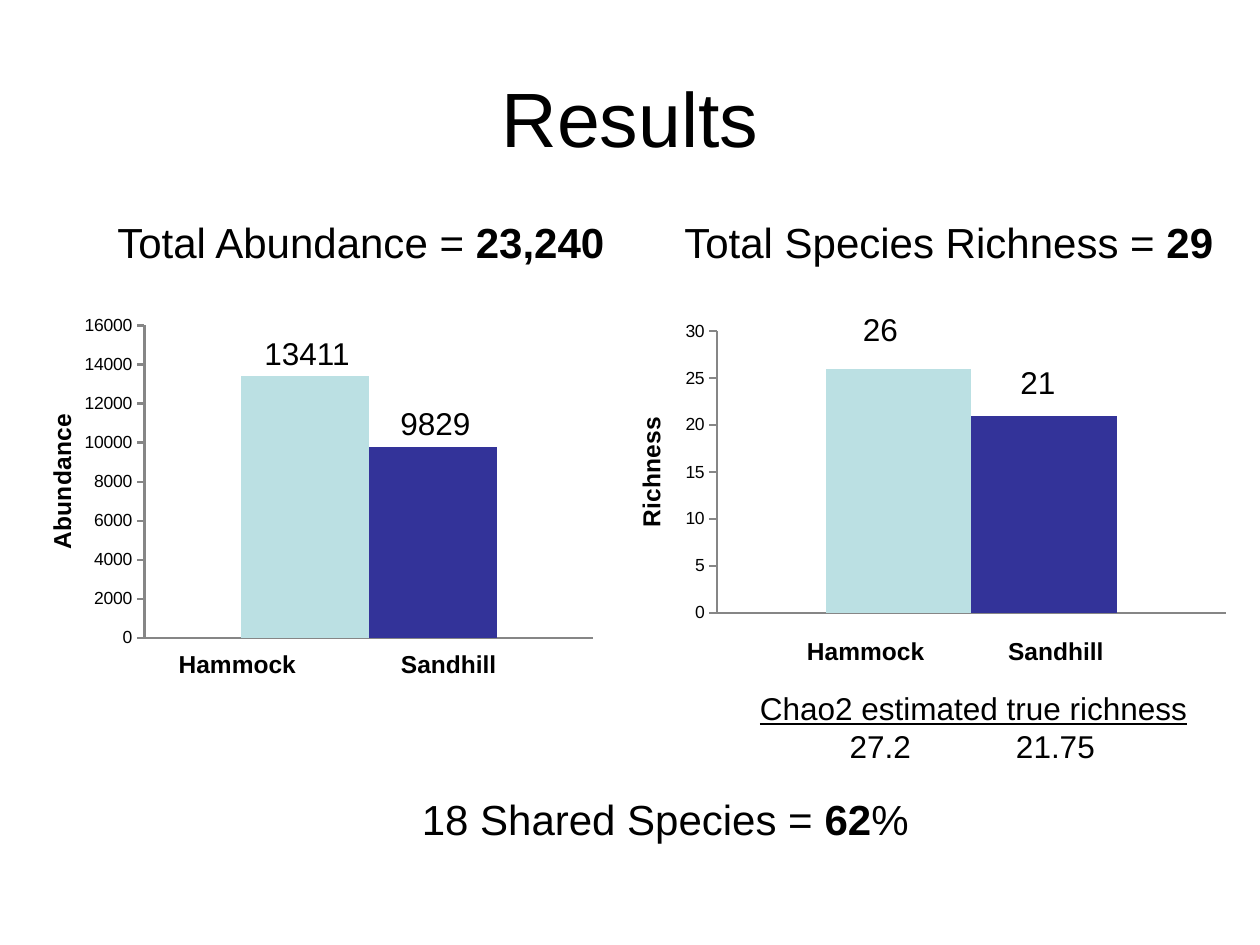
from lxml import etree
from pptx import Presentation
from pptx import util as u
from pptx.chart.data import CategoryChartData
from pptx.dml.color import RGBColor
from pptx.enum import chart as ch, text
from pptx.oxml import ns

Pt = u.Pt
BLACK = RGBColor(0x00, 0x00, 0x00)
GREY = RGBColor(0x86, 0x86, 0x86)
PALE = RGBColor(0xBB, 0xE0, 0xE3)
NAVY = RGBColor(0x33, 0x33, 0x99)
CENTER = text.PP_ALIGN.CENTER


class Deck:
    """Holds the style and the current slide."""
    font = "Arial"

    def __init__(self, prs):
        self.s = prs.slides.add_slide(prs.slide_layouts[6])

    def style(self, font, size, **values):
        for key, value in dict(name=self.font, size=Pt(size), **values).items():
            setattr(font, key, value)
        font.color.rgb = BLACK

    def text(self, box, paragraphs, size, align=None, tabs=(), **values):
        """Each paragraph is a list of (words, font values) runs."""
        tf = self.s.shapes.add_textbox(*map(Pt, box)).text_frame
        tf.word_wrap = False
        tf.vertical_anchor = text.MSO_ANCHOR.MIDDLE
        for i, runs in enumerate(paragraphs):
            p = tf.add_paragraph() if i else tf.paragraphs[0]
            p.alignment = align
            if tabs and runs[0][0].startswith("\t"):
                p.alignment = text.PP_ALIGN.LEFT
                stops = etree.SubElement(p._p.get_or_add_pPr(), ns.qn("a:tabLst"))
                for pos in tabs:
                    etree.SubElement(stops, ns.qn("a:tab"),
                                     pos=str(Pt(pos)), algn="ctr")
            for words, extra in runs:
                r = p.add_run()
                r.text = words
                self.style(r.font, size, **{**values, **extra})

    def chart(self, box, title, values, top, step, plot, line):
        data = CategoryChartData()
        data.categories = ["1"]
        for i, value in enumerate(values, 1):
            data.add_series(f"Series {i}", [value])
        chart = self.s.shapes.add_chart(
            ch.XL_CHART_TYPE.COLUMN_CLUSTERED, *map(Pt, box), data).chart
        self.style(chart.font, 10)
        chart.has_legend = chart.has_title = False

        # Bars
        bars = chart.plots[0]
        bars.gap_width, bars.overlap, bars.vary_by_categories = 150, 0, False
        for series, color in zip(bars.series, (PALE, NAVY)):
            series.format.fill.solid()
            series.format.fill.fore_color.rgb = color

        # Axes
        cat, val = chart.category_axis, chart.value_axis
        for axis in (cat, val):
            axis.has_major_gridlines = False
            axis.format.line.color.rgb = GREY
            axis.format.line.width = Pt(line)
        cat.tick_label_position = ch.XL_TICK_LABEL_POSITION.NONE
        cat.major_tick_mark = ch.XL_TICK_MARK.NONE
        val.major_tick_mark = ch.XL_TICK_MARK.OUTSIDE
        val.minimum_scale, val.maximum_scale, val.major_unit = 0, top, step
        tf = val.axis_title.text_frame
        tf._txBody.bodyPr.set("rot", "-5400000")
        tf._txBody.bodyPr.set("vert", "horz")
        r = tf.paragraphs[0].add_run()
        r.text = title
        self.style(r.font, 14, bold=True)

        # Fixed inner plot area
        area = chart._chartSpace.chart.plotArea
        for old in area.findall(ns.qn("c:layout")):
            area.remove(old)
        layout = etree.Element(ns.qn("c:layout"))
        manual = etree.SubElement(layout, ns.qn("c:manualLayout"))
        entries = [("layoutTarget", "inner"), ("xMode", "edge"), ("yMode", "edge")]
        for tag, value in entries + list(zip("xywh", plot)):
            etree.SubElement(manual, ns.qn(f"c:{tag}"), val=str(value))
        area.insert(0, layout)


def main():
    prs = Presentation()
    prs.slide_width, prs.slide_height = Pt(720), Pt(540)
    d = Deck(prs)
    bold = dict(bold=True)

    # Title
    d.text((36, 21.6, 648, 90), [[("Results", {})]], 44, CENTER)

    # Charts
    d.chart((23.76, 174.96, 339.84, 216), "Abundance", (13400, 9800),
            16000, 2000, (0.173, 0.051, 0.755, 0.827), 1.25)
    d.chart((347.76, 179.28, 360, 216), "Richness", (26, 21),
            30, 5, (0.172, 0.046, 0.808, 0.746), 0.75)

    # Site names under the bars
    for words, x, y in (("Hammock", 95, 367.5), ("Sandhill", 222, 367.5),
                        ("Hammock", 454, 360), ("Sandhill", 569, 360)):
        d.text((x, y, 82, 23.5), [[(words, bold)]], 14)

    # Bar values
    for words, x, y, w in (("26", 486, 173.5, 34.5), ("21", 576, 203.75, 34.5),
                           ("13411", 144, 187.2, 63.4), ("9829", 221.75, 227.5, 54.7)):
        d.text((x, y, w, 28.8), [[(words, {})]], 18)

    # Totals
    for x, y, w, runs in (
            (60, 120, 302.4, [("Total Abundance = ", {}), ("23,240", bold)]),
            (384, 120, 319.7, [("Total Species Richness = ", {}), ("29", bold)]),
            (234, 450, 296, [("18 Shared Species = ", {}), ("62", bold), ("%", {})])):
        d.text((x, y, w, 36), [runs], 24)

    # Estimated richness
    d.text((426, 390, 260.6, 51), [
        [("Chao2 estimated true richness", dict(underline=True))],
        [("\t27.2\t21.75", {})]], 18, CENTER, tabs=(70, 170))

    prs.save("out.pptx")


if __name__ == "__main__":
    main()
